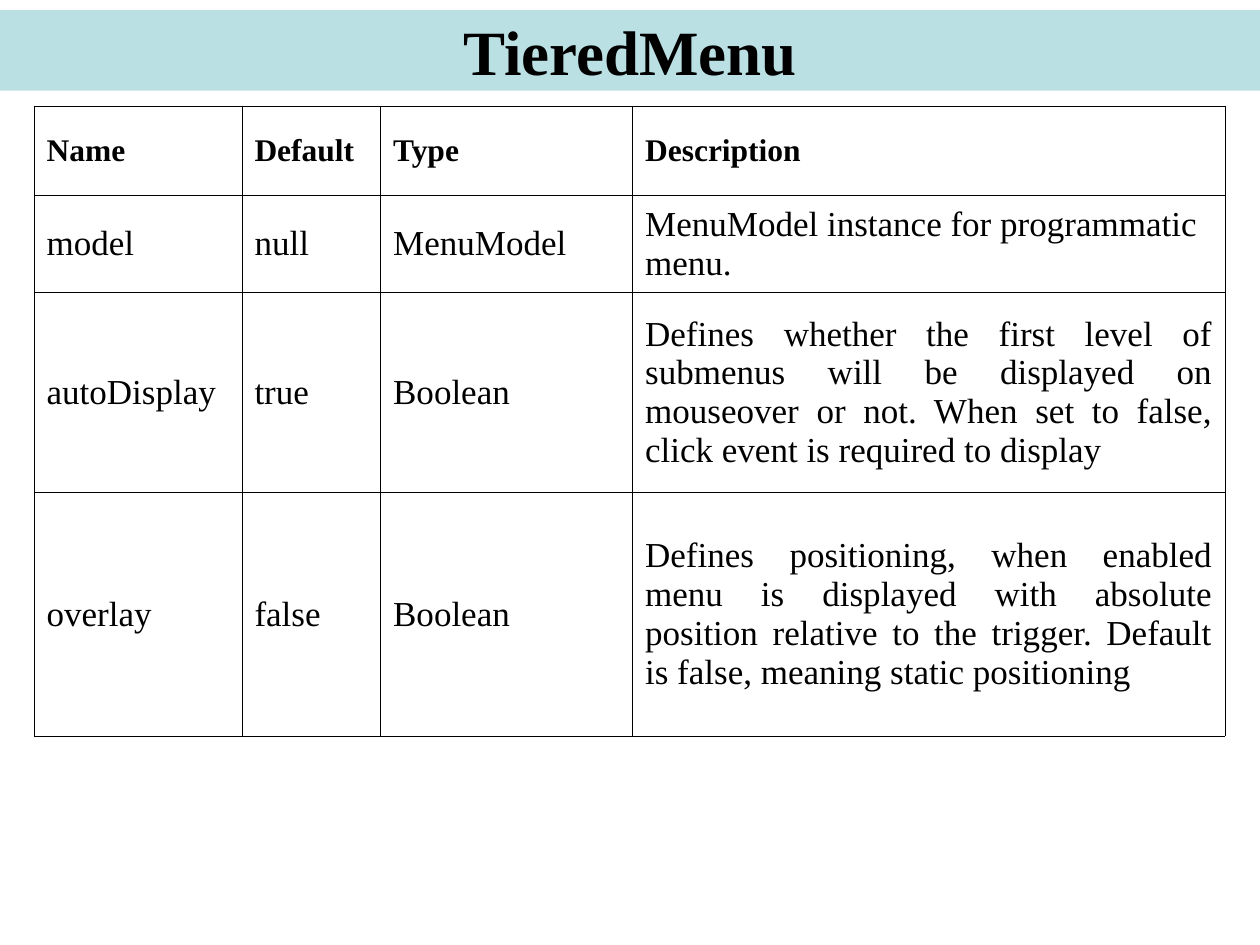
from typing import NamedTuple

from lxml.etree import SubElement
from pptx import Presentation
from pptx.dml.color import RGBColor
from pptx.enum.text import MSO_ANCHOR, PP_ALIGN
from pptx.oxml.ns import qn
from pptx.util import Inches, Pt

FONT = "Times New Roman"
BLACK = RGBColor(0x00, 0x00, 0x00)
BAND = RGBColor(0xBB, 0xE0, 0xE3)
BORDER_WIDTH = Pt(0.23)
COLUMN_WIDTHS = (1.65, 1.1, 2, 4.7)


class Row(NamedTuple):
    height: float
    texts: tuple[str, str, str, str]
    justified: bool = False
    header: bool = False


ROWS = (
    Row(0.71, ("Name", "Default", "Type", "Description"), header=True),
    Row(0.77, ("model", "null", "MenuModel",
               "MenuModel instance for programmatic menu.")),
    Row(1.59, ("autoDisplay", "true", "Boolean",
               "Defines whether the first level of submenus will be displayed "
               "on mouseover or not. When set to false, click event is "
               "required to display"), justified=True),
    Row(1.93, ("overlay", "false", "Boolean",
               "Defines positioning, when enabled menu is displayed with "
               "absolute position relative to the trigger. Default is false, "
               "meaning static positioning"), justified=True),
)


def format_text(paragraph, size: int, bold: bool, alignment: PP_ALIGN) -> None:
    paragraph.alignment = alignment
    for run in paragraph.runs:
        run.font.name = FONT
        run.font.size = Pt(size)
        run.font.bold = bold
        run.font.color.rgb = BLACK


def add_borders(cell) -> None:
    properties = cell._tc.get_or_add_tcPr()
    for position, side in enumerate(("a:lnL", "a:lnR", "a:lnT", "a:lnB")):
        line = SubElement(properties, qn(side), w=str(BORDER_WIDTH))
        fill = SubElement(line, qn("a:solidFill"))
        SubElement(fill, qn("a:srgbClr"), val=str(BLACK))
        properties.insert(position, line)


def add_title(slide, text: str) -> None:
    title = slide.shapes.title
    title.left, title.top = Inches(0), Inches(0.08)
    title.width, title.height = Inches(10), Inches(0.64)
    title.fill.solid()
    title.fill.fore_color.rgb = BAND
    title.text_frame.text = text
    title.text_frame.vertical_anchor = MSO_ANCHOR.MIDDLE
    format_text(title.text_frame.paragraphs[0], 36, True, PP_ALIGN.CENTER)


def add_attribute_table(slide, rows: tuple[Row, ...]) -> None:
    frame = slide.shapes.add_table(
        len(rows), len(COLUMN_WIDTHS), Inches(0.27), Inches(0.84),
        Inches(sum(COLUMN_WIDTHS)), Inches(sum(row.height for row in rows)))
    table = frame.table
    table.first_row = table.horz_banding = False
    for column, width in zip(table.columns, COLUMN_WIDTHS):
        column.width = Inches(width)
    for table_row, row in zip(table.rows, rows):
        table_row.height = Inches(row.height)
        for index, (cell, text) in enumerate(zip(table_row.cells, row.texts)):
            cell.text_frame.text = text
            cell.vertical_anchor = MSO_ANCHOR.MIDDLE
            cell.fill.background()
            add_borders(cell)
            is_description = index == len(COLUMN_WIDTHS) - 1
            justify = row.justified and is_description
            format_text(cell.text_frame.paragraphs[0],
                        18 if row.header else 20, row.header,
                        PP_ALIGN.JUSTIFY if justify else PP_ALIGN.LEFT)


def main() -> None:
    presentation = Presentation()
    presentation.slide_width = Inches(10)
    presentation.slide_height = Inches(7.5)
    title_only = presentation.slide_layouts[5]
    slide = presentation.slides.add_slide(title_only)
    add_title(slide, "TieredMenu")
    add_attribute_table(slide, ROWS)
    presentation.save("out.pptx")


if __name__ == "__main__":
    main()
